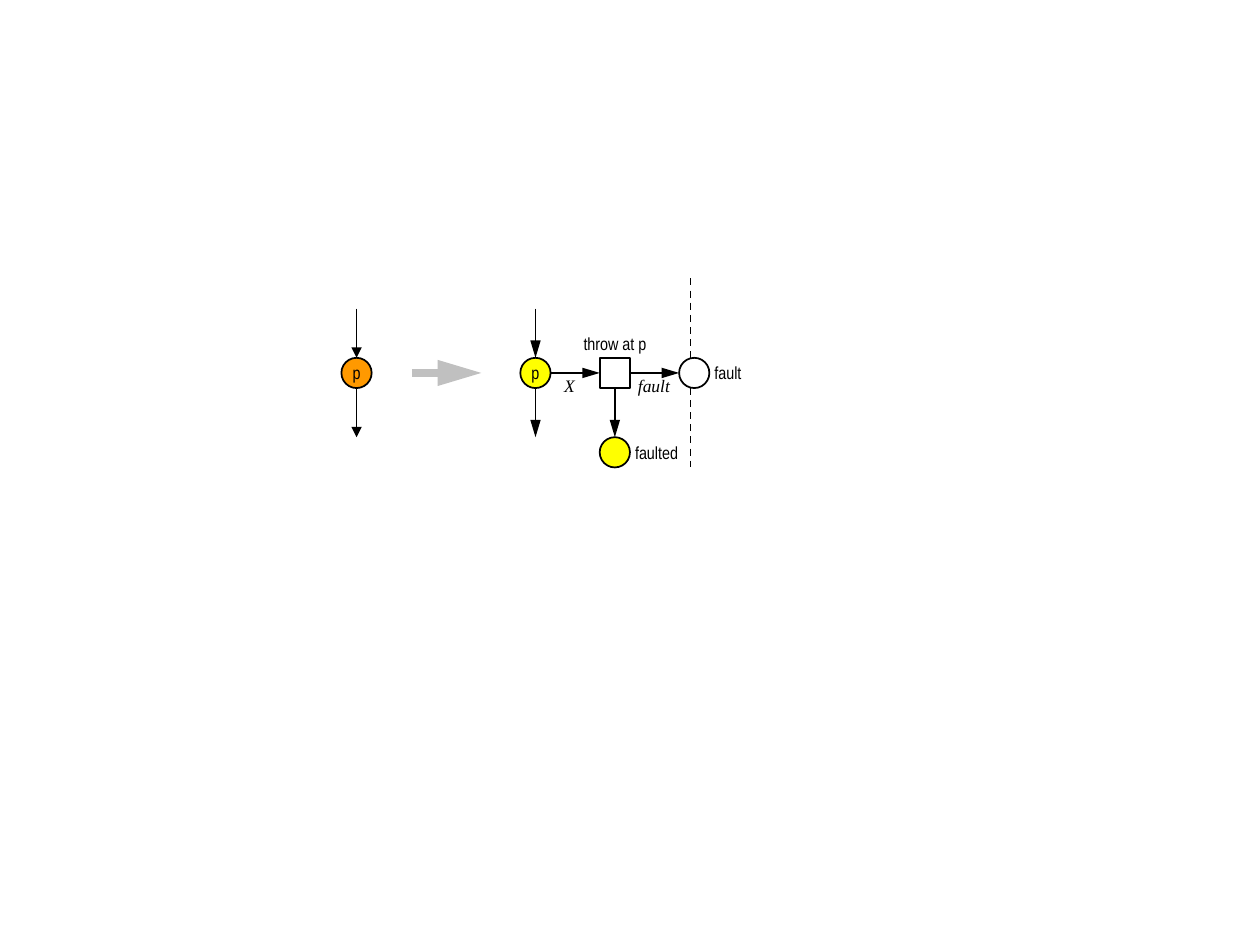
from lxml import etree
from pptx import Presentation
from pptx import util as u
from pptx.dml.color import RGBColor
from pptx.enum import dml, shapes, text
from pptx.oxml.ns import qn

BLACK, GREY, WHITE, YELLOW, ORANGE = "000000", "C0C0C0", "FFFFFF", "FFFF00", "FF9900"
SANS = {"name": "Arial Narrow", "italic": False}
SERIF = {"name": "Times New Roman", "italic": True}
LEFT, CENTER = text.PP_ALIGN.LEFT, text.PP_ALIGN.CENTER
OVAL, BOX = shapes.MSO_SHAPE.OVAL, shapes.MSO_SHAPE.RECTANGLE
TOP, SIDE_LEFT, BOTTOM, SIDE_RIGHT = range(4)

SIZE, PITCH = 0.24, 0.63
R = SIZE / 2
GAP = PITCH - SIZE
BEFORE_X, AFTER_X, ROW_Y = 2.83, 4.25, 2.96
THROW_X, FAULT_X = AFTER_X + PITCH, AFTER_X + 2 * PITCH
FAULTED_Y = ROW_Y + PITCH

# name: (shape, centre x, centre y, fill, text)
NODES = {
    "before": (OVAL, BEFORE_X, ROW_Y, ORANGE, "p"),
    "after": (OVAL, AFTER_X, ROW_Y, YELLOW, "p"),
    "fault": (OVAL, FAULT_X, ROW_Y, WHITE, ""),
    "throw": (BOX, THROW_X, ROW_Y, WHITE, ""),
    "faulted": (OVAL, THROW_X, FAULTED_Y, YELLOW, ""),
}
# text, anchor x (left edge or centre, by alignment), centre y, width, alignment, font
LABELS = [
    ("fault", FAULT_X + R, ROW_Y, 0.35, LEFT, SANS),
    ("throw at p", THROW_X, 2.73, 0.62, CENTER, SANS),
    ("faulted", THROW_X + R, FAULTED_Y, 0.48, LEFT, SANS),
    ("X", 4.52, 3.06, SIZE, CENTER, SERIF),
    ("fault", 5.19, 3.06, 0.4, CENTER, SERIF),
]


def color(hex_string):
    return RGBColor.from_string(hex_string)


def write(frame, words, align, font):
    frame.word_wrap = False
    frame.vertical_anchor = text.MSO_ANCHOR.MIDDLE
    paragraph = frame.paragraphs[0]
    paragraph.alignment = align
    run = paragraph.add_run()
    run.text = words
    for key, value in {"size": u.Pt(10), **font}.items():
        setattr(run.font, key, value)
    run.font.color.rgb = color(BLACK)


def add_node(slide, kind, x, y, fill, words):
    node = slide.shapes.add_shape(
        kind, *map(u.Inches, (x - R, y - R, SIZE, SIZE)))
    node.shadow.inherit = False
    node.fill.solid()
    node.fill.fore_color.rgb = color(fill)
    node.line.color.rgb = color(BLACK)
    node.line.width = u.Pt(1)
    if words:
        write(node.text_frame, words, CENTER, SANS)
    return node


def add_label(slide, words, x, y, width, align, font):
    left = x - width / 2 if align == CENTER else x
    frame = slide.shapes.add_textbox(
        *map(u.Inches, (left, y - R, width, SIZE))).text_frame
    margins = {"margin_left": 0.04, "margin_right": 0.04,
               "margin_top": 0, "margin_bottom": 0}
    for key, value in margins.items():
        setattr(frame, key, u.Inches(value))
    write(frame, words, align, font)


def add_line(slide, x1, y1, x2, y2, head="lg", stroke=BLACK, width=1):
    """Draw a straight line; head is the arrowhead length, None for no arrow."""
    line = slide.shapes.add_connector(
        shapes.MSO_CONNECTOR.STRAIGHT, *map(u.Inches, (x1, y1, x2, y2)))
    line.line.color.rgb = color(stroke)
    line.line.width = u.Pt(width)
    if head:
        etree.SubElement(line.line._get_or_add_ln(), qn("a:tailEnd"),
                         type="triangle", w="med", len=head)
    etree.SubElement(line._element.spPr, qn("a:effectLst"))
    return line


def main():
    deck = Presentation()
    deck.slide_width, deck.slide_height = u.Inches(10), u.Inches(7.5)
    slide = deck.slides.add_slide(deck.slide_layouts[6])

    boundary = add_line(slide, 5.48, 2.21, 5.48, 3.71, head=None)
    boundary.line.dash_style = dml.MSO_LINE.DASH

    nodes = {name: add_node(slide, *node) for name, node in NODES.items()}

    for x, head in ((BEFORE_X, "med"), (AFTER_X, "lg")):
        for start in (ROW_Y - R - GAP, ROW_Y + R):
            add_line(slide, x, start, x, start + GAP, head)

    to_throw = add_line(slide, AFTER_X + R, ROW_Y, THROW_X - R, ROW_Y)
    to_throw.end_connect(nodes["throw"], SIDE_LEFT)
    to_fault = add_line(slide, THROW_X + R, ROW_Y, FAULT_X - R, ROW_Y)
    to_fault.begin_connect(nodes["throw"], SIDE_RIGHT)
    to_faulted = add_line(slide, THROW_X, ROW_Y + R, THROW_X, FAULTED_Y - R)
    to_faulted.begin_connect(nodes["throw"], BOTTOM)
    to_faulted.end_connect(nodes["faulted"], TOP)

    for label in LABELS:
        add_label(slide, *label)
    add_line(slide, 3.27, ROW_Y, 3.82, ROW_Y, stroke=GREY, width=5)
    deck.save("out.pptx")


if __name__ == "__main__":
    main()
